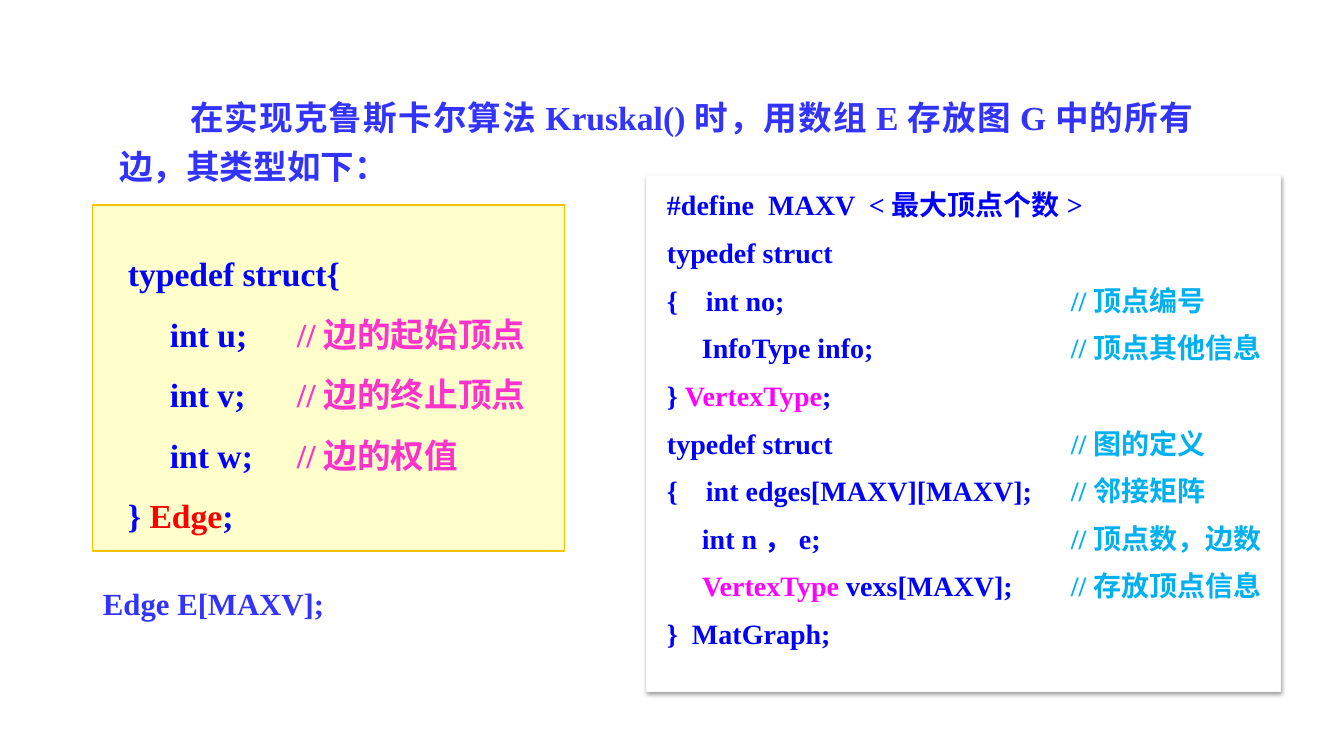
from lxml.etree import SubElement
from pptx import Presentation
from pptx.dml.color import RGBColor
from pptx.enum.shapes import MSO_SHAPE as Shape
from pptx.enum.text import MSO_ANCHOR as Anchor, PP_ALIGN as Align
from pptx.oxml import parse_xml
from pptx.oxml.ns import nsdecls, qn
from pptx.util import Emu, Pt

EMU_PER_PX = 914400 / 100.8
VIOLET, BLUE, PINK, RED = "3333FF", "0000FF", "FF33CC", "FF0000"
MAGENTA, CYAN = "FF00FF", "00B0F0"

EDGE_CODE = [
    [("typedef struct{", BLUE)],
    [("     int u;\t", BLUE), ("//边的起始顶点", PINK)],
    [("     int v;\t", BLUE), ("//边的终止顶点", PINK)],
    [("     int w;\t", BLUE), ("//边的权值", PINK)],
    [("} ", BLUE), ("Edge", RED), (";", BLUE)],
]
GRAPH_CODE = [
    [("#define  MAXV  <最大顶点个数>", BLUE)],
    [("typedef struct", BLUE)],
    [("{\tint no;\t", BLUE), ("//顶点编号", CYAN)],
    [("     InfoType info;\t", BLUE), ("//顶点其他信息", CYAN)],
    [("} ", BLUE), ("VertexType", MAGENTA), (";", BLUE)],
    [("typedef struct\t", BLUE), ("//图的定义", CYAN)],
    [("{\tint edges[MAXV][MAXV];\t", BLUE), ("//邻接矩阵", CYAN)],
    [("     int n，e;\t", BLUE), ("//顶点数，边数", CYAN)],
    [("     ", BLUE), ("VertexType ", MAGENTA), ("vexs[MAXV];\t", BLUE), ("//存放顶点信息", CYAN)],
    [("}  MatGraph;", BLUE)],
]


def px(length):
    """Turn px into EMU."""
    return Emu(round(length * EMU_PER_PX))


def color(value):
    """Turn a hex string into a colour."""
    return RGBColor.from_string(value)


class SlideBuilder:
    """Holds the text style and the current slide."""

    font = "Times New Roman"

    def __init__(self, slide):
        """Keep the slide to draw on."""
        self.slide = slide

    def fill_text(self, shape, lines, size, insets=(10, 5, 10, 5), spacing=1.0,
                  gap=0, tabs=(), align=Align.LEFT, indent=0):
        """Fill a shape with lines of coloured runs."""
        frame = shape.text_frame
        frame.word_wrap = True
        frame.vertical_anchor = Anchor.TOP
        (frame.margin_left, frame.margin_top,
         frame.margin_right, frame.margin_bottom) = map(px, insets)
        for index, line in enumerate(lines):
            paragraph = frame.add_paragraph() if index else frame.paragraphs[0]
            paragraph.alignment = align
            paragraph.line_spacing = spacing
            paragraph.space_before = Pt(gap if index else 0)
            properties = paragraph._p.get_or_add_pPr()
            if indent:
                properties.set("indent", str(px(indent)))
            if tabs:
                stops = SubElement(properties, qn("a:tabLst"))
                for stop in tabs:
                    SubElement(stops, qn("a:tab"), pos=str(px(stop)), algn="l")
            for text, tint in line:
                run = paragraph.add_run()
                run.text = text
                run.font.name = self.font
                run.font.size = Pt(size)
                run.font.bold = True
                run.font.color.rgb = color(tint)

    def text(self, box, lines, size, **layout):
        """Add a plain text box."""
        self.fill_text(self.slide.shapes.add_textbox(*map(px, box)), lines, size, **layout)

    def panel(self, box, fill, border, lines, size, shadow=False, **layout):
        """Add a filled code panel, with a soft shadow on request."""
        panel = self.slide.shapes.add_shape(Shape.RECTANGLE, *map(px, box))
        panel.shadow.inherit = False
        panel.fill.solid()
        panel.fill.fore_color.rgb = color(fill)
        panel.line.color.rgb = color(border)
        panel.line.width = Pt(0.75)
        if shadow:
            effects = panel._element.spPr.find(qn("a:effectLst"))
            effects.append(parse_xml(
                f'<a:outerShdw {nsdecls("a")} blurRad="{Pt(3.1)}" dist="{Pt(1.6)}" '
                'dir="5400000" rotWithShape="0"><a:srgbClr val="000000">'
                '<a:alpha val="38000"/></a:srgbClr></a:outerShdw>'))
        self.fill_text(panel, lines, size, **layout)


def main():
    """Build and save the slide."""
    deck = Presentation()
    deck.slide_width, deck.slide_height = px(1344), px(756)
    builder = SlideBuilder(deck.slides.add_slide(deck.slide_layouts[6]))
    builder.text(
        (109, 84, 1094, 103),
        [[("在实现克鲁斯卡尔算法Kruskal()时，用数组E存放图G中的所有边，其类型如下：", VIOLET)]],
        24, spacing=1.2, align=Align.JUSTIFY, indent=71)
    builder.panel((93, 205, 472, 346), "FFFFCC", "FFC000", EDGE_CODE, 24,
                  insets=(35, 28, 28, 20), spacing=1.5, tabs=(169,))
    builder.text((93, 580, 316, 47), [[("Edge E[MAXV];", VIOLET)]], 22)
    builder.panel((647, 176, 634, 516), "FFFFFF", "F9F9F9", GRAPH_CODE, 20, shadow=True,
                  insets=(20, 12, 10, 12), gap=10, tabs=(39, 404))
    deck.save("out.pptx")


if __name__ == "__main__":
    main()
